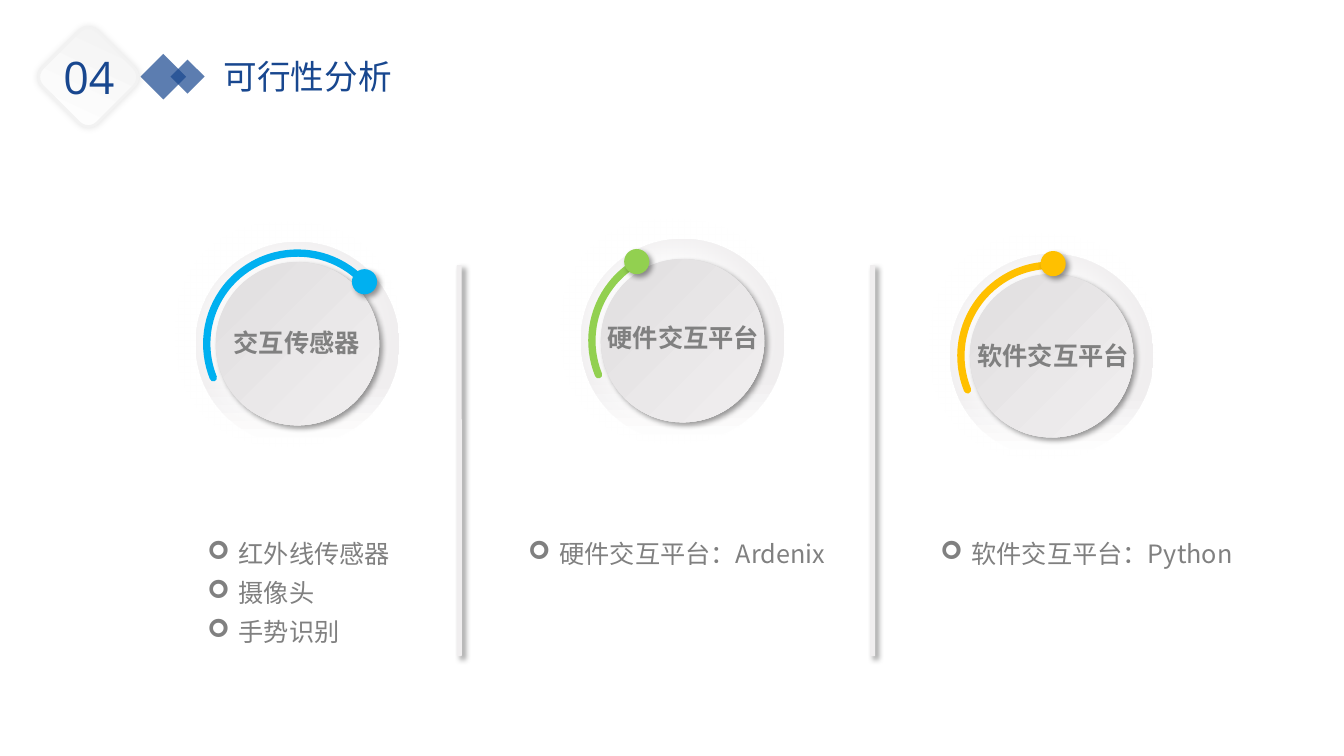
from lxml.etree import SubElement
from pptx import Presentation
from pptx.dml.color import RGBColor
from pptx.enum.shapes import MSO_SHAPE
from pptx.enum.text import MSO_AUTO_SIZE, PP_ALIGN
from pptx.oxml.ns import qn
from pptx.util import Pt

SCALE = 9144
HUES = {
    "navy": "18478F", "gray": "808080", "white": "FFFFFF", "black": "000000",
    "pale": "F2F2F2", "mist": "F0EEEF", "ash": "E1DFE0",
    "blue": "00B0F0", "green": "92D050", "gold": "FFC000",
}
DROP = ("black", 40, 4, 3, 45)
GLOW = ("white", 100, 24, 10, 225)
HALO = ("black", 11, 5, 0, 0)


def px(n):
    return n * SCALE


def hue(name):
    return RGBColor.from_string(HUES[name])


class Deck:
    sans = "Open Sans"
    han = "Noto Sans CJK SC"

    def __init__(self):
        self.file = Presentation()
        self.file.slide_width, self.file.slide_height = px(1333), px(750)
        self.slide = self.file.slides.add_slide(self.file.slide_layouts[6])

    def shape(self, kind, x, y, w, h, fill=None, turn=0, alpha=None,
              shade=None, line=None, width=0):
        item = self.slide.shapes.add_shape(kind, px(x), px(y), px(w), px(h))
        item.rotation = turn
        item.shadow.inherit = False
        if fill:
            item.fill.solid()
            item.fill.fore_color.rgb = hue(fill)
        else:
            item.fill.background()
        if line:
            item.line.color.rgb = hue(line)
            item.line.width = Pt(width)
        else:
            item.line.fill.background()
        props = item.element.spPr
        if alpha:
            tint = props.find(qn("a:solidFill"))[0]
            SubElement(tint, qn("a:alpha"), val=str(alpha * 1000))
        if shade:
            self.shade(props, *shade)
        return item

    def shade(self, props, tone, alpha, blur, dist, angle):
        cast = SubElement(props.find(qn("a:effectLst")), qn("a:outerShdw"),
                          blurRad=str(Pt(blur)), dist=str(Pt(dist)),
                          dir=str(angle * 60000), algn="ctr", rotWithShape="0")
        tint = SubElement(cast, qn("a:srgbClr"), val=HUES[tone])
        SubElement(tint, qn("a:alpha"), val=str(alpha * 1000))

    def blend(self, item, start, end, angle, stop=1):
        item.fill.gradient()
        item.fill.gradient_angle = 360 - angle
        first, last = item.fill.gradient_stops
        first.color.rgb, first.position = hue(start), 0
        last.color.rgb, last.position = hue(end), stop

    def arc(self, x, y, size, tone, end):
        item = self.shape(MSO_SHAPE.ARC, x, y, size, size, turn=248,
                          line=tone, width=5.25)
        item.adjustments[0] = 162
        item.adjustments[1] = end
        item.element.spPr.find(qn("a:ln")).set("cap", "rnd")

    def text(self, text, x, y, w, h, size=18, tone="gray", font=han,
             bold=False, align=None, wrap=True, bullet=None):
        box = self.slide.shapes.add_textbox(px(x), px(y), px(w), px(h))
        frame = box.text_frame
        frame.word_wrap = wrap
        frame.auto_size = MSO_AUTO_SIZE.SHAPE_TO_FIT_TEXT
        frame.text = text
        for para in frame.paragraphs:
            if bullet:
                props = para._p.get_or_add_pPr()
                props.set("marL", str(px(31)))
                props.set("indent", str(-px(31)))
                SubElement(props, qn("a:buFont"), typeface="Wingdings")
                SubElement(props, qn("a:buChar"), char=bullet)
                para.line_spacing = 1.3
            para.alignment = align
            for run in para.runs:
                run.font.size = Pt(size)
                run.font.bold = bold
                run.font.color.rgb = hue(tone)
                run.font.name = font
                SubElement(run.font._element, qn("a:ea"), typeface=self.han)

    def head(self, mark, title):
        for x, y, size in ((146, 60, 32), (174, 64, 24)):
            self.shape(MSO_SHAPE.RECTANGLE, x, y, size, size, "navy", 225, 70)
        self.text(title, 212, 51, 265, 50, 24, "navy", self.sans)
        badge = self.shape(MSO_SHAPE.ROUNDED_RECTANGLE, 49, 38, 77, 77,
                           turn=45, shade=HALO, line="pale", width=2)
        self.blend(badge, "white", "pale", 250)
        self.text(mark, 53, 44, 71, 64, 32, "navy", self.sans, wrap=False)

    def bar(self, x):
        self.shape(MSO_SHAPE.ROUNDED_RECTANGLE, x, 263, 5, 388, "mist",
                   shade=DROP)

    def dial(self, x, y, tone, end, dot):
        oval = MSO_SHAPE.OVAL
        ring = self.shape(oval, x, y, 202, 202)
        self.blend(ring, "white", "mist", 270, 0.32)
        self.shape(oval, x + 20, y + 20, 162, 162, "pale", shade=GLOW)
        disc = self.shape(oval, x + 20, y + 20, 162, 162, shade=DROP)
        self.blend(disc, "ash", "mist", 45)
        self.arc(x + 11, y + 11, 180, tone, end)
        self.shape(oval, *dot, 25, 25, tone, shade=DROP)


def main():
    deck = Deck()
    deck.head("04", "可行性分析")
    for x in (453, 863):
        deck.bar(x)
    mid = PP_ALIGN.CENTER
    parts = (
        ((194, 240, "blue", 37.8, (349, 267)),
         "交互传感器", (222, 320, 151, 40), None,
         "红外线传感器\n摄像头\n手势识别", (196, 520, 216, 124)),
        ((576, 237, "green", 209.95, (619, 247)),
         "硬件交互平台", (593, 315, 176, 40), None,
         "硬件交互平台：Ardenix", (514, 520, 326, 46)),
        ((942, 252, "gold", 12.54, (1032, 249)),
         "软件交互平台", (956, 333, 177, 40), mid,
         "软件交互平台：Python", (920, 520, 315, 46)),
    )
    for dial, name, spot, align, notes, place in parts:
        deck.dial(*dial)
        deck.text(name, *spot, bold=True, align=align)
        deck.text(notes, *place, align=align, bullet="➢")
    deck.file.save("out.pptx")


if __name__ == "__main__":
    main()
